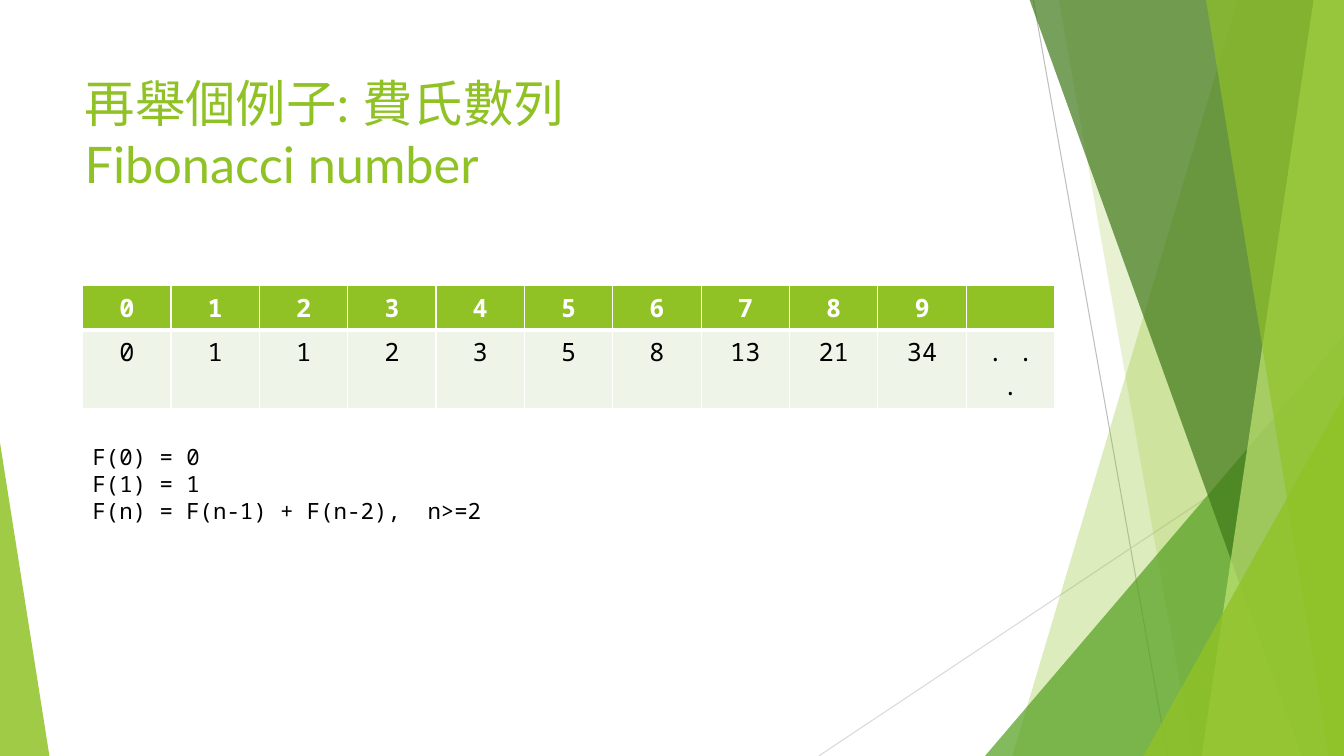
from dataclasses import dataclass

from lxml.etree import SubElement
from pptx import Presentation
from pptx.dml.color import RGBColor
from pptx.enum.shapes import MSO_CONNECTOR as Connector, MSO_SHAPE as Shape
from pptx.enum.text import MSO_ANCHOR as Anchor, MSO_AUTO_SIZE as AutoSize, PP_ALIGN as Align
from pptx.oxml.ns import qn
from pptx.util import Inches, Pt

GREEN, DARK_GREEN, LIME = "90C226", "3F7819", "C0E474"
WHITE, BLACK, PALE = "FFFFFF", "000000", "EEF4E8"
TITLE_FONT, MONO_FONT = "Lato", "Noto Sans Mono"


@dataclass
class Ray:
    x1: float
    y1: float
    x2: float
    y2: float
    color: str


@dataclass
class Shard:
    """Area between a slanted left edge and the slide's right edge."""
    top_x: float
    bottom_x: float
    color: str
    opacity: int


@dataclass
class Wedge:
    """Right triangle standing on the slide's bottom edge."""
    left: float
    top: float
    width: float
    apex: int
    color: str
    opacity: int


# Positions are percentages of the slide's width and height
RAYS = [Ray(76.89, 0, 86.87, 100, "BFBFBF"), Ray(100, 53.73, 60.92, 100, "D9D9D9")]
FACETS = [
    Shard(92.12, 75.32, GREEN, 30),
    Shard(78.77, 88.75, GREEN, 20),
    Wedge(73.29, 44.4, 26.71, 1, "54A021", 72),
    Shard(76.59, 96.85, DARK_GREEN, 70),
    Shard(97.75, 89.42, LIME, 70),
    Shard(89.72, 98.87, GREEN, 65),
    Wedge(85.07, 52.4, 14.93, 1, GREEN, 80),
    Wedge(0, 58.53, 3.68, 0, GREEN, 85),
]
FIBONACCI = [0, 1, 1, 2, 3, 5, 8, 13, 21, 34]
HEADER = [str(n) for n in range(len(FIBONACCI))] + [""]
VALUES = [str(f) for f in FIBONACCI] + [". . ."]
FORMULAS = ["F(0) = 0", "F(1) = 1", "F(n) = F(n-1) + F(n-2),  n>=2"]

prs = Presentation()
prs.slide_width, prs.slide_height = Inches(13.33), Inches(7.5)
slide = prs.slides.add_slide(prs.slide_layouts[5])
shapes = slide.shapes


def px(share: float) -> int:
    return round(prs.slide_width * share / 100)


def py(share: float) -> int:
    return round(prs.slide_height * share / 100)


def rgb(color: str) -> RGBColor:
    return RGBColor.from_string(color)


def format_runs(p, font: str, size: int, color: str, bold: bool = False) -> None:
    for r in p.runs:
        r.font.name, r.font.size, r.font.bold = font, Pt(size), bold
        r.font.color.rgb = rgb(color)


def draw_ray(ray: Ray) -> None:
    line = shapes.add_connector(Connector.STRAIGHT, px(ray.x1), py(ray.y1),
                                px(ray.x2), py(ray.y2))
    line.line.color.rgb = rgb(ray.color)
    line.line.width = Pt(0.75)
    SubElement(line._element.spPr, qn("a:effectLst"))


def draw_facet(facet: Shard | Wedge) -> None:
    if isinstance(facet, Shard):
        builder = shapes.build_freeform(px(facet.top_x), py(-0.13))
        builder.add_line_segments([(px(100), py(-0.13)), (px(100), py(100)),
                                   (px(facet.bottom_x), py(100))])
        sp = builder.convert_to_shape()
    else:
        sp = shapes.add_shape(Shape.ISOSCELES_TRIANGLE, px(facet.left), py(facet.top),
                              px(facet.width), py(100 - facet.top))
        sp.adjustments[0] = facet.apex
    sp.shadow.inherit = False
    sp.line.fill.background()
    sp.fill.solid()
    sp.fill.fore_color.rgb = rgb(facet.color)
    color = sp._element.spPr.find(f"{qn('a:solidFill')}/{qn('a:srgbClr')}")
    SubElement(color, qn("a:alpha"), val=str(facet.opacity * 1000))


def set_borders(cell, widths: dict[str, int]) -> None:
    tc_pr = cell._tc.get_or_add_tcPr()
    for i, (side, width) in enumerate(widths.items()):
        ln = tc_pr.makeelement(qn(f"a:{side}"), {"w": str(Pt(width))})
        fill = SubElement(ln, qn("a:solidFill"))
        SubElement(fill, qn("a:srgbClr"), val=WHITE)
        tc_pr.insert(i, ln)


def fill_row(table, row: int, texts: list[str], fill: str, color: str, bold: bool,
             borders: dict[str, int]) -> None:
    table.rows[row].height = py(5.47)
    for col, text in enumerate(texts):
        cell = table.cell(row, col)
        cell.fill.solid()
        cell.fill.fore_color.rgb = rgb(fill)
        set_borders(cell, borders)
        p = cell.text_frame.paragraphs[0]
        p.text = text
        p.alignment = Align.CENTER
        format_runs(p, MONO_FONT, 18, color, bold)


# Background facets
for ray in RAYS:
    draw_ray(ray)
for facet in FACETS:
    draw_facet(facet)

# Title, brought in front of the facets
title = shapes.title
shapes._spTree.append(title._element)
title.left, title.top, title.width, title.height = px(5.55), py(8.93), px(70.52), py(19.2)
tf = title.text_frame
tf.text = "再舉個例子: 費氏數列\vFibonacci number"
tf.word_wrap, tf.auto_size, tf.vertical_anchor = True, AutoSize.NONE, Anchor.TOP
tf.paragraphs[0].alignment = Align.LEFT
format_runs(tf.paragraphs[0], TITLE_FONT, 36, GREEN)

# Table of indices and values
table = shapes.add_table(2, len(HEADER), px(6.15), py(37.73), px(72.32), py(10.94)).table
fill_row(table, 0, HEADER, GREEN, WHITE, True, {"lnL": 1, "lnR": 1, "lnT": 1, "lnB": 3})
fill_row(table, 1, VALUES, PALE, BLACK, False, {"lnL": 1, "lnR": 1, "lnB": 1})

# Recurrence formulas
tf = shapes.add_textbox(px(6.15), py(58), px(30.91), py(12.13)).text_frame
tf.text = "\n".join(FORMULAS)
tf.word_wrap, tf.auto_size = False, AutoSize.SHAPE_TO_FIT_TEXT
for p in tf.paragraphs:
    format_runs(p, MONO_FONT, 16, BLACK)

prs.save("out.pptx")
